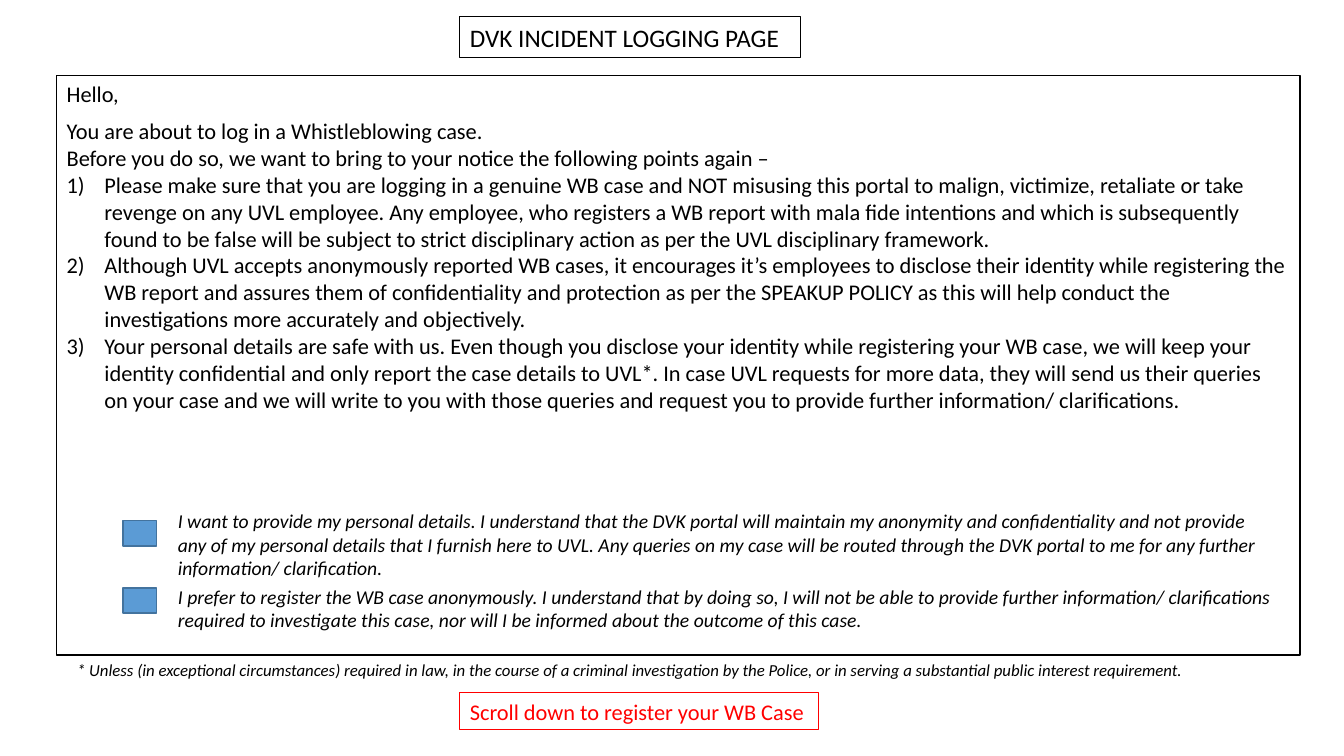
from lxml.etree import SubElement as Sub
from pptx import Presentation
from pptx.dml.color import RGBColor as RGB
from pptx.enum.shapes import MSO_SHAPE as Shape
from pptx.enum.text import MSO_ANCHOR as Anchor, MSO_AUTO_SIZE as Auto, PP_ALIGN as Align
from pptx.oxml.ns import qn
from pptx.util import Pt

PX = 9525  # EMU in one px, 96 px to the inch
theme = {
    "font": "Calibri",
    "ink": RGB(0, 0, 0), "red": RGB(255, 0, 0),
    "tick": RGB(0x5B, 0x9B, 0xD5), "edge": RGB(0x43, 0x73, 0x9E),
    "head": Pt(18), "body": Pt(16), "opt": Pt(14), "foot": Pt(12),
}


def write(shape, lines, size, ink="ink", slant=False):
    frame = shape.text_frame
    look = {"word_wrap": True, "auto_size": Auto.NONE, "vertical_anchor": Anchor.TOP}
    for key, val in look.items():
        setattr(frame, key, val)
    frame.text = "\n".join(lines)
    face = {"name": theme["font"], "size": theme[size], "bold": False, "italic": slant}
    for para in frame.paragraphs:
        para.alignment = Align.LEFT
        para.line_spacing = 1.0
        for run in para.runs:
            for key, val in face.items():
                setattr(run.font, key, val)
            run.font.color.rgb = theme[ink]
    return frame.paragraphs


def frame_box(box, edge, width, fill=None):
    shape = slide.shapes.add_shape(Shape.RECTANGLE, *(n * PX for n in box))
    shape.shadow.inherit = False
    if fill:
        shape.fill.solid()
        shape.fill.fore_color.rgb = theme[fill]
    else:
        shape.fill.background()
    shape.line.color.rgb = theme[edge]
    shape.line.width = Pt(width)
    return shape


deck = Presentation()
deck.slide_width, deck.slide_height = 1280 * PX, 720 * PX
slide = deck.slides.add_slide(deck.slide_layouts[5])

# Title
title = slide.shapes.title
for key, val in {"left": 438, "top": 16, "width": 324, "height": 39}.items():
    setattr(title, key, val * PX)
title.line.color.rgb = theme["ink"]
title.line.width = Pt(0.75)
write(title, ["DVK INCIDENT LOGGING PAGE"], "head")

# Message with numbered points
intro = [
    "Hello,",
    "You are about to log in a Whistleblowing case.",
    "Before you do so, we want to bring to your notice the following points again –",
]
points = [
    "Please make sure that you are logging in a genuine WB case and NOT misusing this portal "
    "to malign, victimize, retaliate or take revenge on any UVL employee. Any employee, who "
    "registers a WB report with mala fide intentions and which is subsequently found to be "
    "false will be subject to strict disciplinary action as per the UVL disciplinary framework.",
    "Although UVL accepts anonymously reported WB cases, it encourages it’s employees to "
    "disclose their identity while registering the WB report and assures them of "
    "confidentiality and protection as per the SPEAKUP POLICY as this will help conduct the "
    "investigations more accurately and objectively.",
    "Your personal details are safe with us. Even though you disclose your identity while "
    "registering your WB case, we will keep your identity confidential and only report the "
    "case details to UVL*. In case UVL requests for more data, they will send us their "
    "queries on your case and we will write to you with those queries and request you to "
    "provide further information/ clarifications.",
]
panel = frame_box((54, 72, 1184, 552), "ink", 1)
paras = write(panel, intro + points, "body")
paras[0].space_after = Pt(7)
for para in paras[len(intro):]:
    props = para._p.get_or_add_pPr()
    props.set("marL", str(36 * PX))
    props.set("indent", str(-36 * PX))
    Sub(props, qn("a:buFont"), typeface="+mj-lt")
    Sub(props, qn("a:buAutoNum"), type="arabicParenR")

# Scroll hint
hint = frame_box((438, 660, 342, 35), "red", 0.75)
write(hint, ["Scroll down to register your WB Case"], "body", "red")

# Tick boxes
for top in (496, 560):
    frame_box((117, top, 32, 24), "edge", 1, "tick")

# Choices and footnote
notes = [
    ((160, 480, 1056, 78), "opt",
     "I want to provide my personal details. I understand that the DVK portal will maintain my "
     "anonymity and confidentiality and not provide any of my personal details that I furnish "
     "here to UVL. Any queries on my case will be routed through the DVK portal to me for any "
     "further information/ clarification."),
    ((160, 552, 1067, 55), "opt",
     "I prefer to register the WB case anonymously. I understand that by doing so, I will not "
     "be able to provide further information/ clarifications required to investigate this "
     "case, nor will I be informed about the outcome of this case."),
    ((64, 624, 1173, 29), "foot",
     "* Unless (in exceptional circumstances) required in law, in the course of a criminal "
     "investigation by the Police, or in serving a substantial public interest requirement."),
]
for box, size, text in notes:
    note = slide.shapes.add_textbox(*(n * PX for n in box))
    write(note, [text], size, slant=True)

deck.save("out.pptx")
